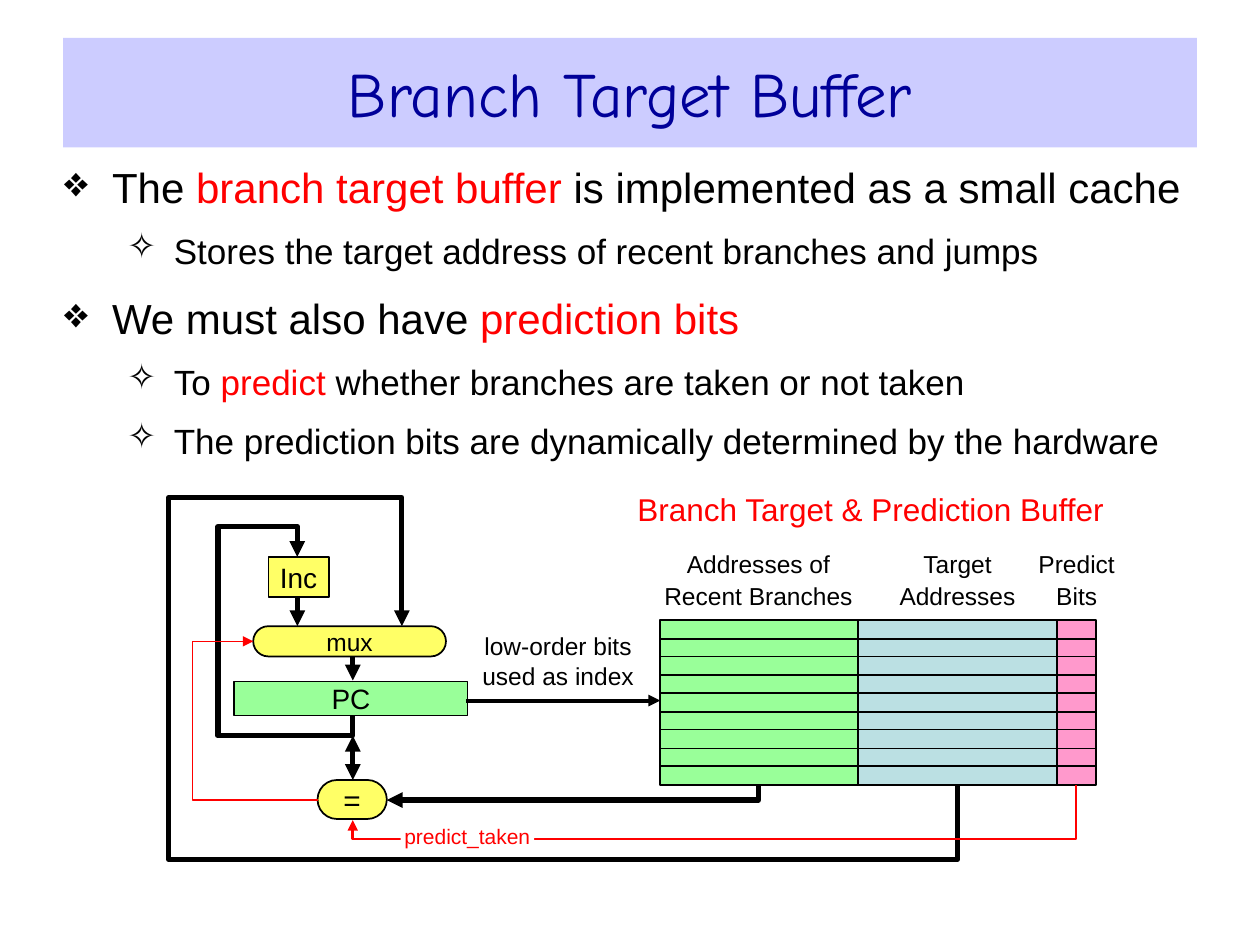
"""Build the Branch Target Buffer slide."""
from dataclasses import dataclass

from lxml import etree
from pptx import Presentation
from pptx.dml.color import RGBColor
from pptx.enum.shapes import MSO_CONNECTOR, MSO_SHAPE
from pptx.enum.text import MSO_ANCHOR, MSO_AUTO_SIZE, PP_ALIGN
from pptx.oxml.ns import qn
from pptx.util import Pt

PX = 9144
RECT, ROUND = MSO_SHAPE.RECTANGLE, MSO_SHAPE.ROUNDED_RECTANGLE
STRAIGHT = MSO_CONNECTOR.STRAIGHT
MIDDLE, TOP = MSO_ANCHOR.MIDDLE, MSO_ANCHOR.TOP
CENTER = PP_ALIGN.CENTER
NO_FIT = MSO_AUTO_SIZE.NONE


@dataclass(frozen=True)
class Theme:
    """Colours, fonts, type sizes and line widths."""
    title_font: str = "Comic Neue"
    font: str = "Arial"
    ink: str = "000000"
    accent: str = "FF0000"
    title: str = "000099"
    band: str = "CCCCFF"
    paper: str = "FFFFFF"
    yellow: str = "FFFF66"
    green: str = "99FF99"
    blue: str = "BBE0E3"
    pink: str = "FF99CC"
    title_size: int = 36
    body_sizes: tuple = (24, 20)
    caption: int = 18
    equal: int = 17
    box: int = 16
    label: int = 14
    small: int = 12
    thick: float = 3
    medium: float = 2.25
    signal: float = 1.5
    thin: float = 1
    hair: float = 0.75


class Deck:
    """Style and current slide, with one method per kind of element."""

    def __init__(self, prs, theme):
        self.t = theme
        self.s = prs.slides.add_slide(prs.slide_layouts[5])

    def style(self, font, size, color, name=None):
        font.name, font.size = name or self.t.font, Pt(size)
        font.color.rgb = RGBColor.from_string(color)

    def place(self, sp, box):
        sp.left, sp.top, sp.width, sp.height = (v * PX for v in box)

    def frame(self, sp, inset=(0, 0), anchor=MIDDLE):
        tf = sp.text_frame
        tf.word_wrap, tf.auto_size, tf.vertical_anchor = True, NO_FIT, anchor
        tf.margin_left = tf.margin_right = inset[0] * PX
        tf.margin_top = tf.margin_bottom = inset[1] * PX
        return tf

    def fill_text(self, tf, text, size, color, spacing=None, name=None):
        tf.text = text
        for p in tf.paragraphs:
            p.alignment = CENTER
            if spacing:
                p.line_spacing = spacing
            for r in p.runs:
                self.style(r.font, size, color, name)

    def title(self, text, box):
        sp = self.s.shapes.title
        self.place(sp, box)
        sp.fill.solid()
        sp.fill.fore_color.rgb = RGBColor.from_string(self.t.band)
        tf = self.frame(sp, (10, 5))
        self.fill_text(tf, text, self.t.title_size, self.t.title,
                       name=self.t.title_font)

    def bullets(self, items, box):
        """Write (level, text) items; text between asterisks is accented."""
        tb = self.s.shapes.add_textbox(*(v * PX for v in box))
        tf = self.frame(tb, (0, 5), TOP)
        for i, (level, text) in enumerate(items):
            p = tf.add_paragraph() if i else tf.paragraphs[0]
            p.level = level
            if i:
                p.space_before = Pt((12, 10)[level])
            pPr = p._p.get_or_add_pPr()
            pPr.set("marL", str((38, 87)[level] * PX))
            pPr.set("indent", str((-38, -37)[level] * PX))
            clr = etree.SubElement(pPr, qn("a:buClr"))
            etree.SubElement(clr, qn("a:srgbClr"), val=self.t.ink)
            etree.SubElement(pPr, qn("a:buChar"), char="❖✧"[level])
            for j, part in enumerate(text.split("*")):
                if part:
                    r = p.add_run()
                    r.text = part
                    color = self.t.accent if j % 2 else self.t.ink
                    self.style(r.font, self.t.body_sizes[level], color)

    def label(self, text, box, size, color=None, spacing=None):
        tb = self.s.shapes.add_textbox(*(v * PX for v in box))
        self.fill_text(self.frame(tb), text, size, color or self.t.ink, spacing)

    def box(self, box, fill, text="", size=None, kind=RECT, color=None, outlined=True):
        sp = self.s.shapes.add_shape(kind, *(v * PX for v in box))
        sp.shadow.inherit = False
        sp.fill.solid()
        sp.fill.fore_color.rgb = RGBColor.from_string(fill)
        if kind == ROUND:
            sp.adjustments[0] = 0.5
        if outlined:
            sp.line.color.rgb = RGBColor.from_string(self.t.ink)
            sp.line.width = Pt(self.t.thin)
        else:
            sp.line.fill.background()
        if text:
            self.fill_text(self.frame(sp), text, size, color or self.t.ink)

    def stroke(self, sp, width, color, ends):
        sp.line.color.rgb = RGBColor.from_string(color or self.t.ink)
        sp.line.width = Pt(width)
        spPr = sp._element.spPr
        for end in ends:
            etree.SubElement(spPr.find(qn("a:ln")), qn(f"a:{end}"), type="triangle")
        etree.SubElement(spPr, qn("a:effectLst"))

    def line(self, start, end, width, ends=(), color=None):
        cxn = self.s.shapes.add_connector(STRAIGHT, *(v * PX for v in start + end))
        self.stroke(cxn, width, color, ends)

    def route(self, points, width, color=None):
        fb = self.s.shapes.build_freeform(*points[0], scale=PX)
        fb.add_line_segments(points[1:], close=False)
        sp = fb.convert_to_shape()
        sp.fill.background()
        self.stroke(sp, width, color, ("tailEnd",))

    def column(self, box, fill, rows):
        x, y, w, h = box
        self.box(box, fill)
        for i in range(1, rows):
            row_y = y + round(h * i / rows)
            self.line((x, row_y), (x + w, row_y), self.t.thin)


def main():
    prs = Presentation()
    prs.slide_width, prs.slide_height = 1000 * PX, 750 * PX
    t = Theme()
    d = Deck(prs, t)
    tail = ("tailEnd",)

    d.title("Branch Target Buffer", (50, 30, 900, 87))
    d.bullets([
        (0, "The *branch target buffer* is implemented as a small cache"),
        (1, "Stores the target address of recent branches and jumps"),
        (0, "We must also have *prediction bits*"),
        (1, "To *predict *whether branches are taken or not taken"),
        (1, "The prediction bits are dynamically determined by the hardware"),
    ], (51, 123, 898, 269))

    d.route([(602, 619), (602, 635), (307, 635)], t.thick)
    d.box((201, 497, 153, 24), t.yellow, "mux", t.label, ROUND)
    d.box((186, 541, 185, 27), t.green, "PC", t.box)
    d.line((280, 521), (280, 540), t.thick, tail)
    d.line((236, 473), (236, 497), t.thick, tail)

    d.label("Branch Target & Prediction Buffer", (496, 386, 390, 35),
            t.caption, t.accent)
    for x, w, fill in ((681, 158, t.blue), (839, 31, t.pink), (524, 157, t.green)):
        d.column((x, 492, w, 131), fill, 9)
    for text, x, w in (("Addresses of Recent Branches", 524, 156),
                       ("Target\nAddresses", 685, 150),
                       ("Predict\nBits", 819, 71)):
        d.label(text, (x, 432, w, 54), t.label, spacing=1.1)

    d.line((370, 556), (524, 556), t.medium, tail)
    d.label("low-order bits used as index", (378, 501, 130, 47), t.label)
    d.box((213, 442, 48, 32), t.yellow, "Inc", t.box)
    d.route([(280, 568), (280, 584), (173, 584), (173, 418), (236, 418),
             (236, 442)], t.thick)
    d.box((252, 619, 55, 31), t.yellow, "=", t.equal, ROUND)
    d.line((280, 584), (280, 619), t.thick, ("headEnd", "tailEnd"))
    d.route([(760, 623), (760, 682), (134, 682), (134, 395), (319, 395),
             (319, 497)], t.thick)
    d.route([(252, 635), (153, 635), (153, 509), (201, 509)], t.hair, t.accent)
    d.route([(854, 623), (854, 666), (280, 666), (280, 651)], t.signal, t.accent)
    d.box((318, 652, 106, 24), t.paper, "predict_taken", t.small,
          color=t.accent, outlined=False)
    prs.save("out.pptx")


if __name__ == "__main__":
    main()
